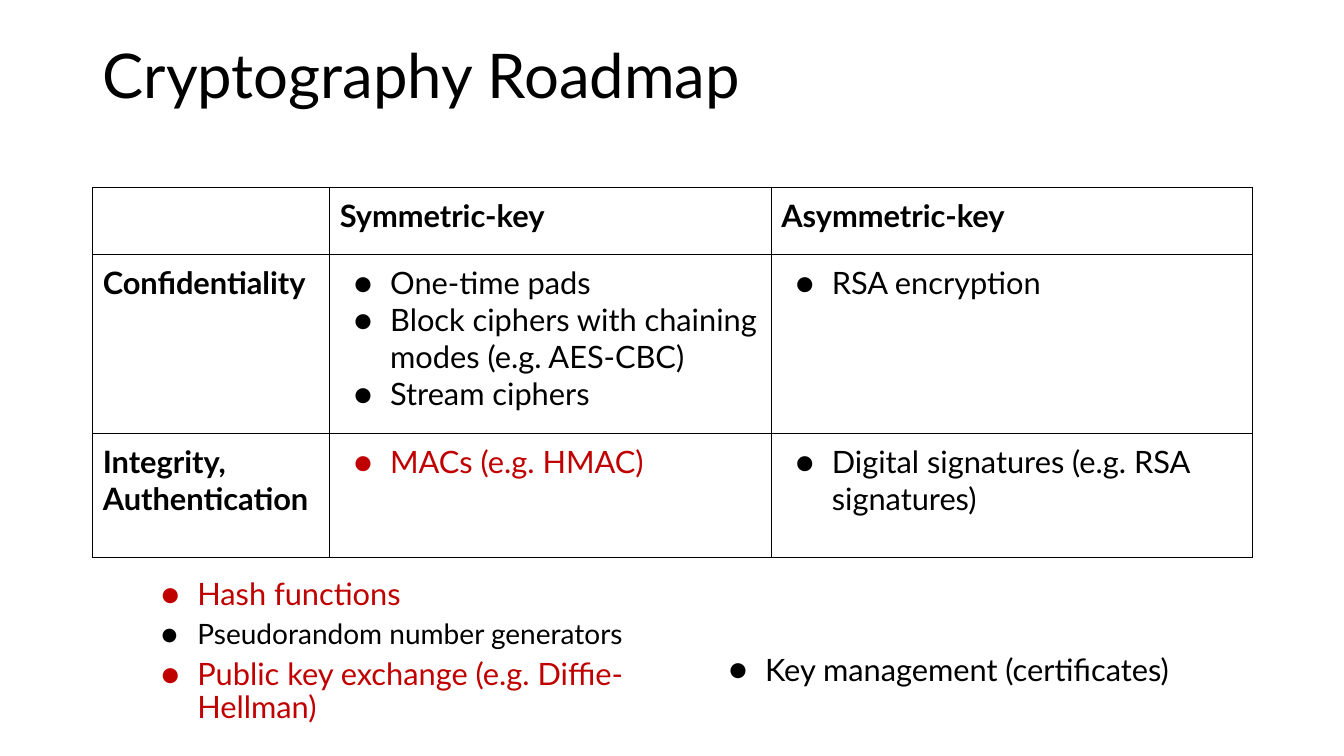
from dataclasses import dataclass

from lxml.etree import SubElement
from pptx import Presentation
from pptx.dml.color import RGBColor
from pptx.enum.text import MSO_ANCHOR
from pptx.oxml.ns import qn
from pptx.slide import Slide
from pptx.table import _Cell
from pptx.text.text import TextFrame
from pptx.util import Inches, Pt

COLORS = {"ink": "000000", "accent": "C00000", "paper": "FFFFFF"}
FONT = "Lato"
PADDING = 0.1
MARGINS = ("margin_left", "margin_top", "margin_right", "margin_bottom")


@dataclass(frozen=True)
class Line:
    """One paragraph with its look."""

    text: str
    color: str = "ink"
    size: float = 22
    bold: bool = False
    bullet: bool = True
    spacing: float = 1.0
    before: float = 0
    after: float = 0


@dataclass(frozen=True)
class Box:
    """A text box, placed in inches."""

    left: float
    top: float
    width: float
    height: float
    lines: tuple[Line, ...]
    vertical_padding: float = PADDING


def heading(text: str) -> tuple[Line, ...]:
    """Return a bold table heading."""
    return (Line(text, bold=True, bullet=False),)


COLUMN_WIDTHS = (2.35, 4.38, 4.77)
ROW_HEIGHTS = (0.66, 1.78, 1.23)
TABLE_LEFT, TABLE_TOP = 0.92, 1.86
ROADMAP = (
    ((), heading("Symmetric-key"), heading("Asymmetric-key")),
    (
        heading("Confidentiality"),
        (
            Line("One-time pads"),
            Line("Block ciphers with chaining modes (e.g. AES-CBC)"),
            Line("Stream ciphers"),
        ),
        (Line("RSA encryption"),),
    ),
    (
        heading("Integrity,\vAuthentication"),
        (Line("MACs (e.g. HMAC)", "accent"),),
        (Line("Digital signatures (e.g. RSA signatures)"),),
    ),
)
BOXES = (
    Box(1.36, 5.64, 5.24, 1.74, (
        Line("Hash functions", "accent", spacing=0.9, before=6),
        Line("Pseudorandom number generators", size=20, spacing=0.9, before=6),
        Line("Public key exchange (e.g. Diffie-Hellman)", "accent",
             spacing=0.9, before=6, after=6),
    )),
    Box(6.99, 6.3, 4.84, 0.63,
        (Line("Key management (certificates)", spacing=1.15),)),
    Box(0.92, 0.4, 11.5, 0.89,
        (Line("Cryptography Roadmap", size=44, bullet=False, spacing=0.9),), 0.05),
)


def write_lines(frame: TextFrame, lines: tuple[Line, ...]) -> None:
    """Fill a text frame with formatted paragraphs."""
    for index, line in enumerate(lines):
        para = frame.paragraphs[0] if index == 0 else frame.add_paragraph()
        para.text = line.text
        layout = {
            "line_spacing": line.spacing,
            "space_before": Pt(line.before),
            "space_after": Pt(line.after),
        }
        for name, value in layout.items():
            setattr(para, name, value)
        for span in para.runs:
            style = {"name": FONT, "size": Pt(line.size), "bold": line.bold}
            for name, value in style.items():
                setattr(span.font, name, value)
            span.font.color.rgb = RGBColor.from_string(COLORS[line.color])
        if line.bullet:
            properties = para._p.get_or_add_pPr()
            properties.set("marL", str(Inches(0.5)))
            properties.set("indent", str(Inches(-0.36)))
            tint = SubElement(properties, qn("a:buClr"))
            SubElement(tint, qn("a:srgbClr"), val=COLORS[line.color])
            SubElement(properties, qn("a:buFont"), typeface=FONT)
            SubElement(properties, qn("a:buChar"), char="●")


def add_box(page: Slide, box: Box) -> None:
    """Draw one text box."""
    shape = page.shapes.add_textbox(
        *(Inches(value) for value in (box.left, box.top, box.width, box.height)))
    frame = shape.text_frame
    layout = {
        "word_wrap": True,
        "vertical_anchor": MSO_ANCHOR.TOP,
        "margin_left": Inches(PADDING),
        "margin_right": Inches(PADDING),
        "margin_top": Inches(box.vertical_padding),
        "margin_bottom": Inches(box.vertical_padding),
    }
    for name, value in layout.items():
        setattr(frame, name, value)
    write_lines(frame, box.lines)


def format_cell(cell: _Cell) -> None:
    """Give a cell its padding, thin borders and plain fill."""
    for name in MARGINS:
        setattr(cell, name, Inches(PADDING))
    properties = cell._tc.get_or_add_tcPr()
    for side in ("lnL", "lnR", "lnT", "lnB"):
        border = SubElement(properties, qn(f"a:{side}"), w=str(Pt(0.75)))
        fill = SubElement(border, qn("a:solidFill"))
        SubElement(fill, qn("a:srgbClr"), val=COLORS["ink"])
    cell.fill.solid()
    cell.fill.fore_color.rgb = RGBColor.from_string(COLORS["paper"])


def add_roadmap(page: Slide) -> None:
    """Draw the table of cryptographic schemes."""
    table = page.shapes.add_table(
        len(ROW_HEIGHTS), len(COLUMN_WIDTHS), Inches(TABLE_LEFT), Inches(TABLE_TOP),
        Inches(sum(COLUMN_WIDTHS)), Inches(sum(ROW_HEIGHTS))).table
    for name in ("first_row", "horz_banding"):
        setattr(table, name, False)
    for column, width in zip(table.columns, COLUMN_WIDTHS):
        column.width = Inches(width)
    for row, height, contents in zip(table.rows, ROW_HEIGHTS, ROADMAP):
        row.height = Inches(height)
        for cell, lines in zip(row.cells, contents):
            format_cell(cell)
            write_lines(cell.text_frame, lines)


def main() -> None:
    """Build and save the deck."""
    deck = Presentation()
    deck.slide_width, deck.slide_height = Inches(13.33), Inches(7.5)
    page = deck.slides.add_slide(deck.slide_layouts[6])
    add_roadmap(page)
    for box in BOXES:
        add_box(page, box)
    deck.save("out.pptx")


if __name__ == "__main__":
    main()
